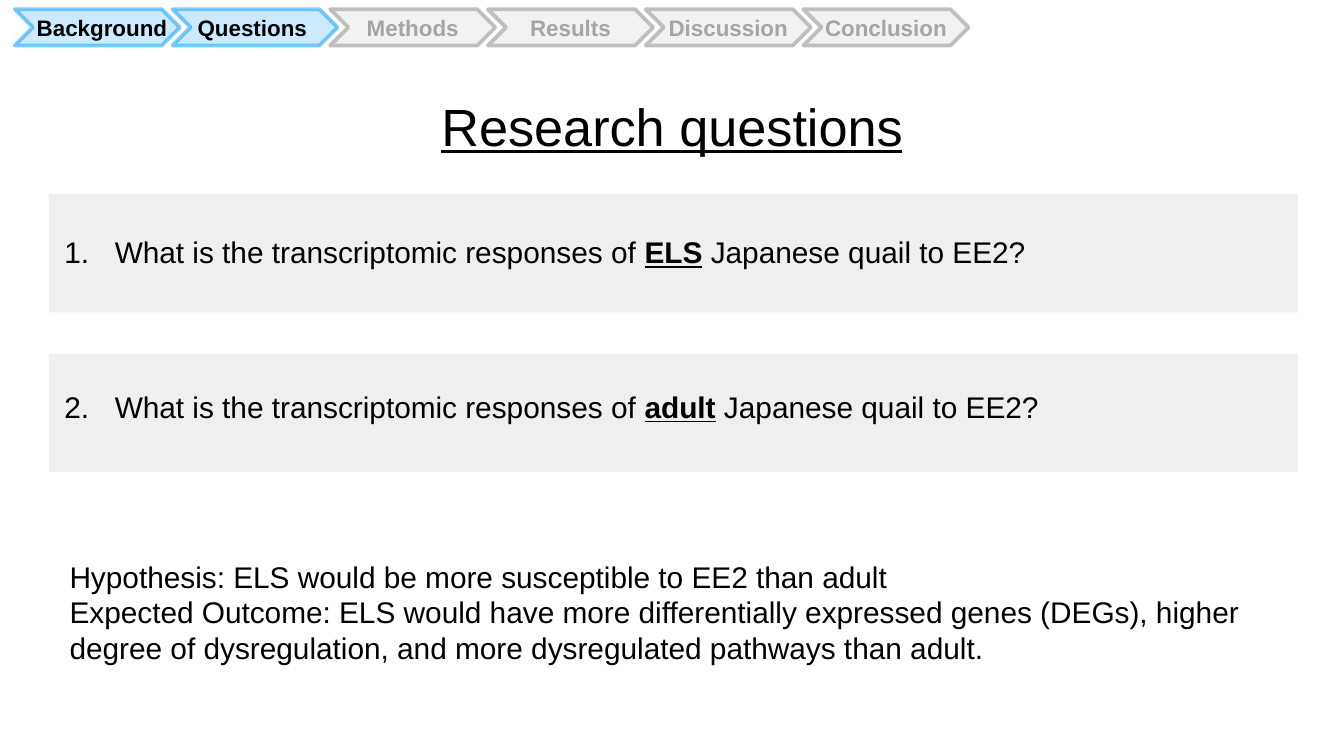
from dataclasses import dataclass

from lxml.etree import SubElement
from pptx import Presentation
from pptx.dml.color import RGBColor
from pptx.enum.shapes import MSO_SHAPE as Shape
from pptx.enum.text import MSO_ANCHOR as Anchor, MSO_AUTO_SIZE as AutoSize, PP_ALIGN as Align
from pptx.oxml.ns import qn
from pptx.util import Pt

BLACK = RGBColor(0x00, 0x00, 0x00)
BLUE = RGBColor(0x00, 0x99, 0xFF)
PANEL_GRAY = RGBColor(0xD8, 0xD8, 0xD8)
STEP_GRAY = RGBColor(0xF2, 0xF2, 0xF2)
EDGE_GRAY = RGBColor(0xBF, 0xBF, 0xBF)
TEXT_GRAY = RGBColor(0xA5, 0xA5, 0xA5)
FONT = "Arial"

STEP_LEFT, STEP_TOP, STEP_PITCH = 7.9, 5, 84.5
STEP_WIDTH, STEP_HEIGHT = 88.5, 19.4
LABEL_TOP, LABEL_HEIGHT = 3.8, 21.6
NUMBER_INDENT = 27


@dataclass
class Step:
    label: str
    label_width: float
    reached: bool = False
    label_shift: float = 0


@dataclass
class Question:
    number: int
    subject: str
    panel_top: float
    text_top: float


STEPS = [
    Step("Background", 85, True, 2.5),
    Step("Questions", 74, True, -1.5),
    Step("Methods", 64),
    Step("Results", 58),
    Step("Discussion", 79),
    Step("Conclusion", 81),
]
QUESTIONS = [
    Question(1, "ELS", 103.9, 121.7),
    Question(2, "adult", 189.4, 204.5),
]
OUTLOOK = [
    "Hypothesis: ELS would be more susceptible to EE2 than adult",
    "Expected Outcome: ELS would have more differentially expressed genes (DEGs), "
    "higher degree of dysregulation, and more dysregulated pathways than adult.",
]


def set_opacity(fill, percent: int) -> None:
    """Make a solid fill partly transparent."""
    color = fill._xPr.find(qn("a:solidFill"))[0]
    SubElement(color, qn("a:alpha"), val=str(percent * 1000))


def style_font(font, size: float, color: RGBColor) -> None:
    font.name = FONT
    font.size = Pt(size)
    font.color.rgb = color


def add_text_box(shapes, left: float, top: float, width: float, height: float):
    box = shapes.add_textbox(Pt(left), Pt(top), Pt(width), Pt(height))
    box.text_frame.word_wrap = True
    return box.text_frame


def add_step(page, index: int, step: Step) -> None:
    group = page.shapes.add_group_shape()
    left = STEP_LEFT + index * STEP_PITCH
    chevron = group.shapes.add_shape(
        Shape.CHEVRON, Pt(left), Pt(STEP_TOP), Pt(STEP_WIDTH), Pt(STEP_HEIGHT))
    chevron.shadow.inherit = False
    chevron.fill.solid()
    chevron.fill.fore_color.rgb = BLUE if step.reached else STEP_GRAY
    chevron.line.width = Pt(2)
    chevron.line.color.rgb = BLUE if step.reached else EDGE_GRAY
    if step.reached:
        set_opacity(chevron.fill, 20)
        set_opacity(chevron.line.fill, 50)

    label_left = left + (STEP_WIDTH - step.label_width) / 2 + step.label_shift
    frame = add_text_box(group.shapes, label_left, LABEL_TOP, step.label_width, LABEL_HEIGHT)
    frame.text = step.label
    para = frame.paragraphs[0]
    para.alignment = Align.CENTER
    style_font(para.runs[0].font, 12, BLACK if step.reached else TEXT_GRAY)
    para.runs[0].font.bold = True


def add_panel(page, question: Question) -> None:
    panel = page.shapes.add_shape(
        Shape.RECTANGLE, Pt(26.2), Pt(question.panel_top), Pt(669), Pt(63.5))
    panel.shadow.inherit = False
    panel.fill.solid()
    panel.fill.fore_color.rgb = PANEL_GRAY
    set_opacity(panel.fill, 40)
    panel.line.fill.background()


def add_question(page, question: Question) -> None:
    frame = add_text_box(page.shapes, 27.4, question.text_top, 665, 46)
    para = frame.paragraphs[0]
    properties = para._p.get_or_add_pPr()
    properties.set("marL", str(Pt(NUMBER_INDENT)))
    properties.set("indent", str(-Pt(NUMBER_INDENT)))
    SubElement(properties, qn("a:buFont"), typeface=FONT)
    SubElement(properties, qn("a:buAutoNum"), type="arabicPeriod", startAt=str(question.number))
    parts = ["What is the transcriptomic responses of ", question.subject,
             " Japanese quail to EE2?"]
    for part in parts:
        span = para.add_run()
        span.text = part
        style_font(span.font, 16, BLACK)
        span.font.bold = span.font.underline = part == question.subject


deck = Presentation()
deck.slide_width, deck.slide_height = Pt(720), Pt(405)
page = deck.slides.add_slide(deck.slide_layouts[5])

# Title
title = page.shapes.title
title.left, title.top, title.width, title.height = Pt(18.7), Pt(40.3), Pt(682.6), Pt(45.4)
frame = title.text_frame
frame.text = "Research questions"
frame.auto_size = AutoSize.NONE
frame.vertical_anchor = Anchor.TOP
frame.margin_left = frame.margin_right = frame.margin_bottom = Pt(7.2)
frame.margin_top = Pt(10)
frame.paragraphs[0].alignment = Align.CENTER
title_font = frame.paragraphs[0].runs[0].font
style_font(title_font, 28, BLACK)
title_font.underline = True

# Numbered questions on gray panels
for question in QUESTIONS:
    add_panel(page, question)
    add_question(page, question)

# Progress bar
for index, step in enumerate(STEPS):
    add_step(page, index, step)

# Hypothesis and expected outcome
frame = add_text_box(page.shapes, 30.2, 295.5, 662, 71)
frame.text = "\n".join(OUTLOOK)
for para in frame.paragraphs:
    style_font(para.runs[0].font, 16, BLACK)

deck.save("out.pptx")
